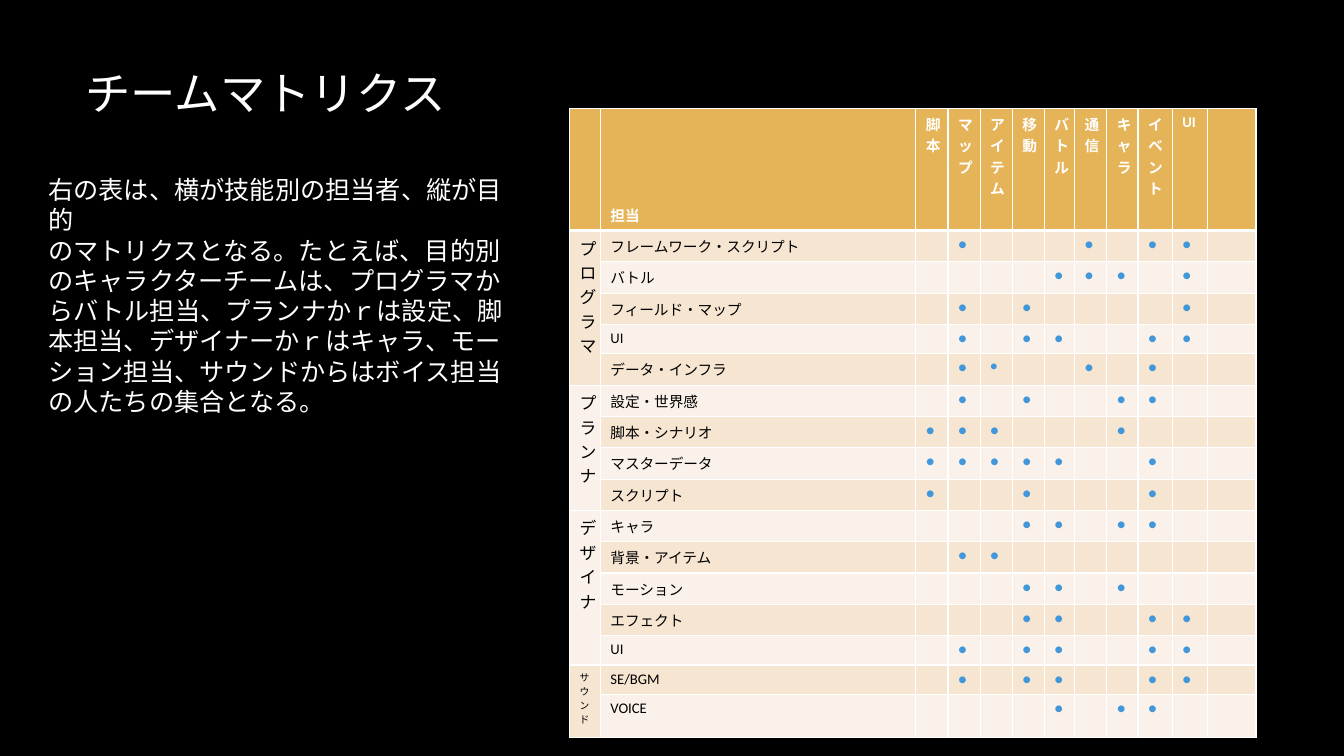
"""Build the team matrix slide: staff skills by row, team goals by column."""
import lxml.etree
import pptx
import pptx.dml.color
import pptx.enum.text
import pptx.oxml.ns
import pptx.util

Cm = pptx.util.Cm
Pt = pptx.util.Pt
qn = pptx.oxml.ns.qn


def color(value):
    """Turn a hex string into a colour."""
    return pptx.dml.color.RGBColor.from_string(value)


def write(para, text, size, shade, bold=False, east_asian=True):
    """Add one run, or only set the line size where there is no text."""
    if not text:
        end = lxml.etree.SubElement(para._p, qn("a:endParaRPr"))
        end.set("sz", str(int(size * 100)))
        return
    span = para.add_run()
    span.text = text
    span.font.size = Pt(size)
    span.font.bold = bold
    span.font.name = "Calibri"
    span.font.color.rgb = color(shade)
    if east_asian:
        lxml.etree.SubElement(span.font._element, qn("a:ea"), typeface="Calibri")


WHITE, BLACK, GOLD, BLUE = "FFFFFF", "000000", "E5B458", "4296DA"
BANDS = ["FAF2EA", "F5E5D1"]

goals = ["脚本", "マップ", "アイテム", "移動", "バトル", "通信", "キャラ", "イベント", "UI", ""]
column_widths = [0.78, 7.95, 0.81, 0.81, 0.81, 0.81, 0.76, 0.81, 0.79, 0.86, 0.89, 1.22]
groups = [
    ("プログラマ", 12, [
        ("フレームワーク・スクリプト", ".●...●.●●."),
        ("バトル", "....●●●.●."),
        ("フィールド・マップ", ".●.●....●."),
        ("UI", ".●.●●..●●."),
        ("データ・インフラ", ".●●..●.●.."),
    ]),
    ("プランナ", 12, [
        ("設定・世界感", ".●.●..●●.."),
        ("脚本・シナリオ", "●●●...●..."),
        ("マスターデータ", "●●●●●..●.."),
        ("スクリプト", "●..●...●.."),
    ]),
    ("デザイナ", 12, [
        ("キャラ", "...●●.●●.."),
        ("背景・アイテム", ".●●......."),
        ("モーション", "...●●.●..."),
        ("エフェクト", "...●●..●●."),
        ("UI", ".●.●●..●●."),
    ]),
    ("サウンド", 7, [
        ("SE/BGM", ".●.●●..●●."),
        ("VOICE", "....●.●●.."),
    ]),
]

deck = pptx.Presentation()
deck.slide_width = Cm(33.87)
deck.slide_height = Cm(19.05)
page = deck.slides.add_slide(deck.slide_layouts[5])
page.background.fill.solid()
page.background.fill.fore_color.rgb = color(BLACK)

title = page.shapes.title
title.left, title.top, title.width, title.height = Cm(1.9), Cm(1.7), Cm(28.14), Cm(1.27)
title.text_frame.vertical_anchor = pptx.enum.text.MSO_ANCHOR.MIDDLE
title.text_frame.auto_size = pptx.enum.text.MSO_AUTO_SIZE.NONE
title.text_frame.paragraphs[0].alignment = pptx.enum.text.PP_ALIGN.LEFT
write(title.text_frame.paragraphs[0], "チームマトリクス", 32.4, WHITE)

rows = [("", 12, "担当", goals)]
for group, size, tasks in groups:
    for index, (task, marks) in enumerate(tasks):
        cells = [mark.replace(".", "") for mark in marks]
        rows.append((group if index == 0 else "", size, task, cells))

frame = page.shapes.add_table(len(rows), len(column_widths), Cm(14.35), Cm(2.74), Cm(17.3), Cm(15.2))
matrix = frame.table
for column, width in zip(matrix.columns, column_widths):
    column.width = Cm(width)
for row in matrix.rows:
    row.height = Cm(0.74)
matrix.rows[0].height = Cm(3.07)
matrix.rows[len(rows) - 1].height = Cm(1.09)

for row_number, (group, group_size, task, marks) in enumerate(rows):
    header = row_number == 0
    for column_number, text in enumerate([group, task, *marks]):
        cell = matrix.cell(row_number, column_number)
        cell.fill.solid()
        cell.fill.fore_color.rgb = color(GOLD if header else BANDS[row_number % 2])
        size = group_size if column_number == 0 else 10.5
        if (row_number, column_number) == (5, 4):
            size = 9
        shade = WHITE if header else BLUE if column_number > 1 else BLACK
        write(cell.text_frame.paragraphs[0], text, size, shade, header, shade == BLUE)
        for position, side in enumerate(["lnL", "lnR", "lnT", "lnB"]):
            thick = (row_number, side) in [(0, "lnB"), (1, "lnT")]
            line = lxml.etree.Element(qn("a:" + side), w=str(Pt(3 if thick else 1)))
            paint = lxml.etree.SubElement(line, qn("a:solidFill"))
            lxml.etree.SubElement(paint, qn("a:srgbClr"), val=WHITE)
            cell._tc.get_or_add_tcPr().insert(position, line)
matrix.cell(0, 1).vertical_anchor = pptx.enum.text.MSO_ANCHOR.BOTTOM

first_row = 1
for group, size, tasks in groups:
    last_row = first_row + len(tasks) - 1
    matrix.cell(first_row, 0).merge(matrix.cell(last_row, 0))
    first_row = last_row + 1

explanation = [
    "右の表は、横が技能別の担当者、縦が目的",
    "のマトリクスとなる。たとえば、目的別のキャラクターチームは、プログラマからバトル担当、"
    "プランナかｒは設定、脚本担当、デザイナーかｒはキャラ、モーション担当、"
    "サウンドからはボイス担当の人たちの集合となる。",
]
box = page.shapes.add_textbox(Cm(0.97), Cm(4.27), Cm(12.22), Cm(4.88))
box.text_frame.word_wrap = True
for index, text in enumerate(explanation):
    para = box.text_frame.add_paragraph() if index else box.text_frame.paragraphs[0]
    write(para, text, 18, WHITE)

deck.save("out.pptx")
